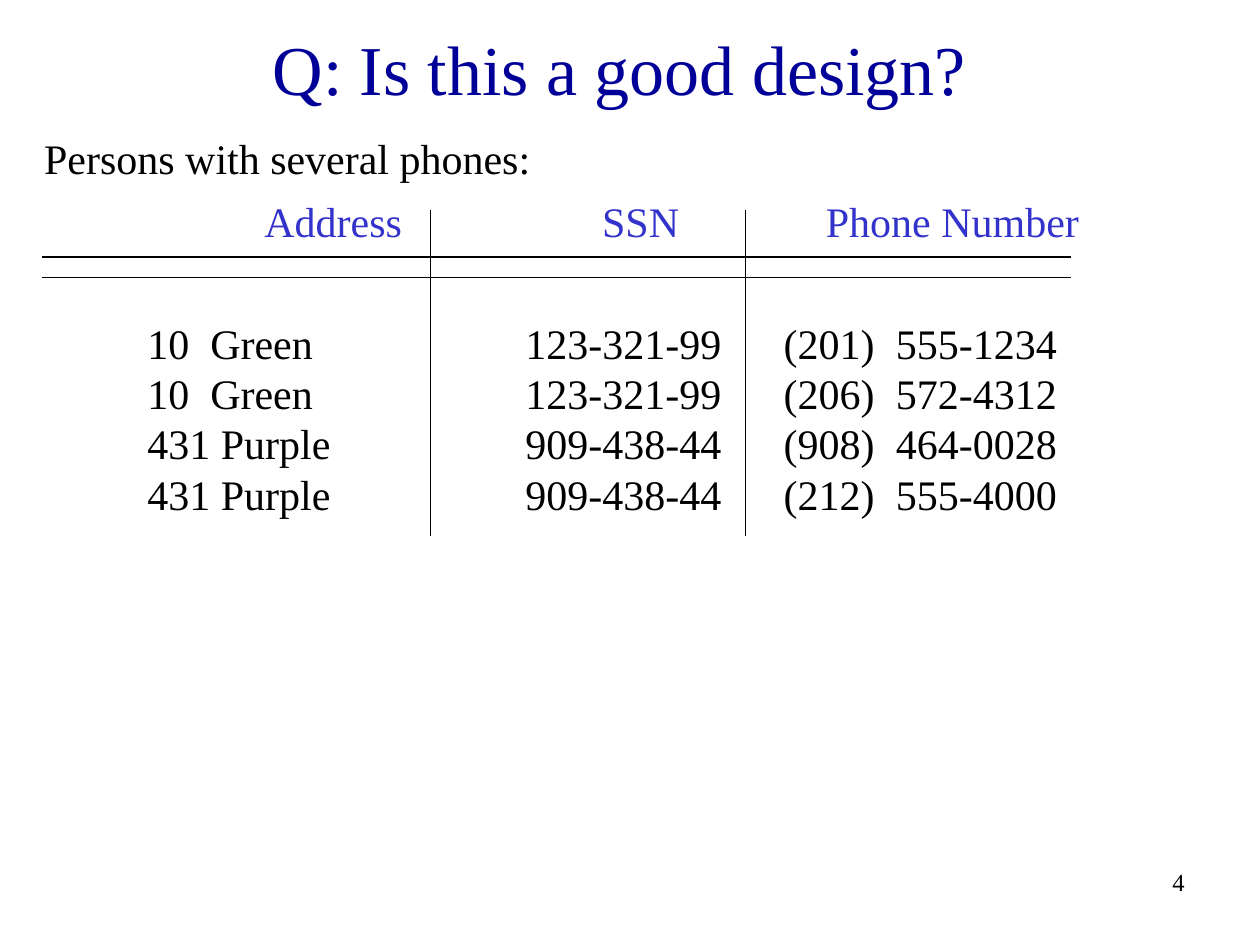
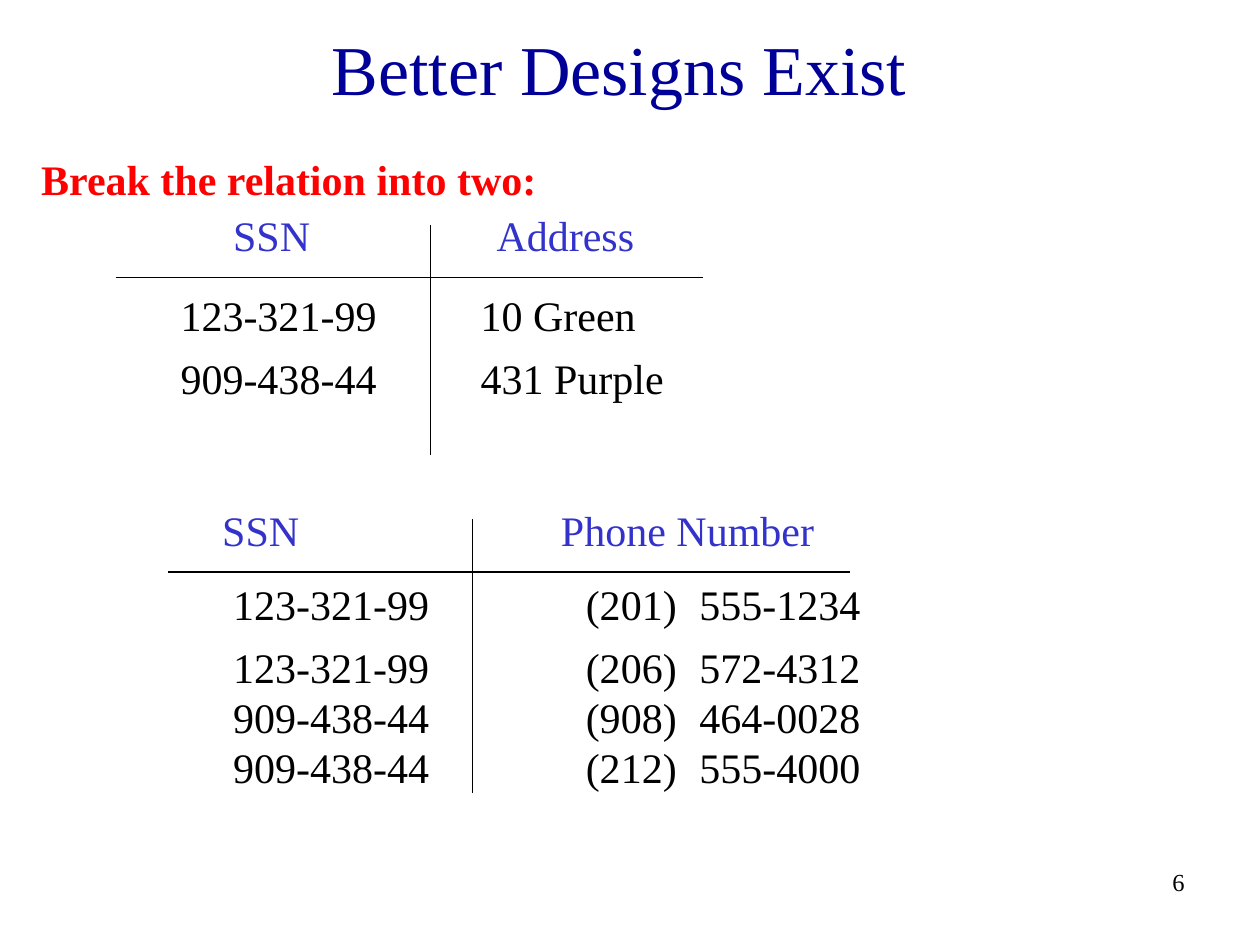
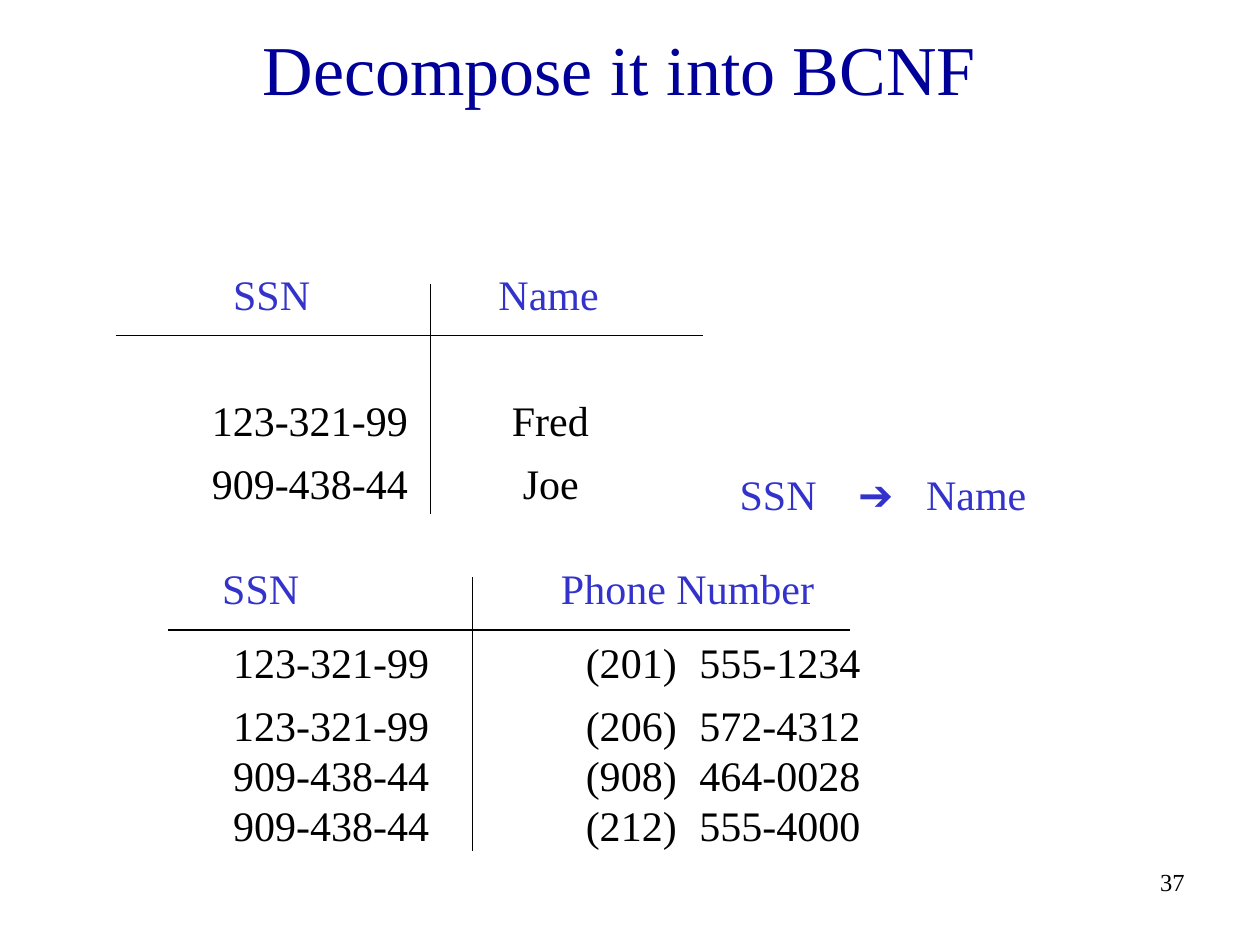
from dataclasses import dataclass

from lxml import etree
from pptx import Presentation
from pptx.dml.color import RGBColor
from pptx.enum import shapes, text
from pptx.oxml import ns
from pptx.util import Cm, Pt

COLOURS = {"title": "000099", "heading": "3333CC", "body": "000000", "alert": "FF0000"}
FONT = "Times New Roman"
ARROW, ARROW_FONT = "➔", "Arial"
LINE_HEIGHT = 1.2  # times the text size
ROW_HEIGHT, INSETS = 1.02, 0.25  # cm


@dataclass
class Block:
    """Lines of text with tab stops; all lengths in cm."""
    left: float
    top: float
    width: float
    lines: list[str]
    stops: tuple[float, ...] = ()
    colour: str = "body"
    size: int = 24
    bold: bool = False
    align: text.PP_ALIGN = text.PP_ALIGN.LEFT


@dataclass
class Grid:
    """Ruled lines of a relation; all lengths in cm."""
    left: float
    right: float
    rules: tuple[float, ...]
    dividers: tuple[float, ...]
    top: float
    bottom: float


# Shared parts
def write_line(para, content: str, *, size: int = 24, colour: str = "body",
               bold: bool = False, align=text.PP_ALIGN.LEFT, stops=()) -> None:
    para.alignment = align
    para.line_spacing = Pt(size * LINE_HEIGHT)
    if stops:
        tabs = etree.SubElement(para._p.get_or_add_pPr(), ns.qn("a:tabLst"))
        for stop in stops:
            etree.SubElement(tabs, ns.qn("a:tab"), pos=str(int(Cm(stop))), algn="l")
    for piece in filter(None, content.partition(ARROW)):
        span = para.add_run()
        span.text = piece
        span.font.name = ARROW_FONT if piece == ARROW else FONT
        span.font.size = Pt(size)
        span.font.bold = bold
        span.font.color.rgb = RGBColor.from_string(COLOURS[colour])


def draw_block(page, block: Block) -> None:
    height = len(block.lines) * ROW_HEIGHT + INSETS
    box = page.shapes.add_textbox(Cm(block.left), Cm(block.top), Cm(block.width), Cm(height))
    frame = box.text_frame
    frame.word_wrap = True
    for number, line in enumerate(block.lines):
        para = frame.add_paragraph() if number else frame.paragraphs[0]
        write_line(para, line, size=block.size, colour=block.colour, bold=block.bold,
                   align=block.align, stops=block.stops)


def draw_line(page, x1: float, y1: float, x2: float, y2: float) -> None:
    line = page.shapes.add_connector(shapes.MSO_CONNECTOR.STRAIGHT,
                                     Cm(x1), Cm(y1), Cm(x2), Cm(y2))
    line.line.color.rgb = RGBColor.from_string(COLOURS["body"])
    line.line.width = Pt(0.75)
    etree.SubElement(line._element.spPr, ns.qn("a:effectLst"))


def draw_grid(page, grid: Grid) -> None:
    for y in grid.rules:
        draw_line(page, grid.left, y, grid.right, y)
    for x in grid.dividers:
        draw_line(page, x, grid.top, x, grid.bottom)


def add_page(deck, title: str, number: int):
    page = deck.slides.add_slide(deck.slide_layouts[5])
    box = page.shapes.title
    box.left, box.top, box.width, box.height = Cm(0.42), Cm(0.42), Cm(24.13), Cm(1.9)
    box.text_frame.vertical_anchor = text.MSO_ANCHOR.MIDDLE
    box.text_frame.auto_size = text.MSO_AUTO_SIZE.NONE
    write_line(box.text_frame.paragraphs[0], title, size=40, colour="title",
               align=text.PP_ALIGN.CENTER)
    draw_block(page, Block(18.84, 17.36, 5.29, [str(number)], size=14,
                           align=text.PP_ALIGN.RIGHT))
    return page


# Relations that appear on two slides
def draw_upper_relation(page, rule: float, heading: str, stop: float) -> None:
    draw_block(page, Block(4.45, rule - 1.49, 10, [heading], (stop,), "heading"))
    draw_grid(page, Grid(2.33, 14.18, (rule,), (8.68,), rule - 1.05, rule + 3.59))


def draw_phone_relation(page, rule: float) -> None:
    stops = (7.11, 9.4)
    draw_block(page, Block(4.23, rule - 1.49, 14, ["SSN\tPhone Number"], (6.83,), "heading"))
    draw_block(page, Block(4.45, rule, 16.6, ["123-321-99\t(201)\t555-1234"], stops))
    draw_block(page, Block(4.45, rule + 1.27, 16.6, [
        "123-321-99\t(206)\t572-4312",
        "909-438-44\t(908)\t464-0028",
        "909-438-44\t(212)\t555-4000",
    ], stops))
    draw_grid(page, Grid(3.39, 17.14, (rule,), (9.52,), rule - 1.06, rule + 4.45))


# Slides
def add_question(deck) -> None:
    page = add_page(deck, "Q: Is this a good design?", 4)
    draw_block(page, Block(5.08, 3.81, 18, ["Address\tSSN\tPhone Number"],
                           (6.81, 11.32), "heading"))
    draw_block(page, Block(2.72, 6.27, 19.51, [
        "10\tGreen\t123-321-99\t(201)\t555-1234",
        "10\tGreen\t123-321-99\t(206)\t572-4312",
        "431 Purple\t123-321-99\t(908)\t464-0028".replace("123-321-99", "909-438-44"),
        "431 Purple\t909-438-44\t(212)\t555-4000",
    ], (1.27, 7.62, 12.83, 15.09)))
    draw_grid(page, Grid(0.85, 21.59, (5.18, 5.59), (8.68, 15.03), 4.23, 10.8))
    draw_block(page, Block(0.64, 2.54, 12, ["Persons with several phones:"]))


def add_better_design(deck) -> None:
    page = add_page(deck, "Better Designs Exist", 6)
    draw_upper_relation(page, 5.59, "SSN\tAddress", 5.31)
    for top, row in ((5.72, "123-321-99\t10 Green"), (6.99, "909-438-44\t431 Purple")):
        draw_block(page, Block(3.39, top, 16.6, [row], (6.05,)))
    draw_phone_relation(page, 11.53)
    draw_block(page, Block(0.58, 2.97, 12, ["Break the relation into two:"],
                           colour="alert", bold=True))


def add_decomposition(deck) -> None:
    page = add_page(deck, "Decompose it into BCNF", 37)
    draw_upper_relation(page, 6.77, "SSN\tName", 5.35)
    for top, row, stop in ((7.83, "123-321-99\tFred", 6.05), (9.1, "909-438-44\tJoe", 6.27)):
        draw_block(page, Block(4.02, top, 16.6, [row], (stop,)))
    draw_phone_relation(page, 12.7)
    draw_block(page, Block(14.66, 9.31, 8, [f"SSN\t{ARROW}\tName"], (2.39, 3.76), "heading"))


def main() -> None:
    deck = Presentation()
    deck.slide_width, deck.slide_height = Cm(25.4), Cm(19.05)
    add_question(deck)
    add_better_design(deck)
    add_decomposition(deck)
    deck.save("out.pptx")


if __name__ == "__main__":
    main()
